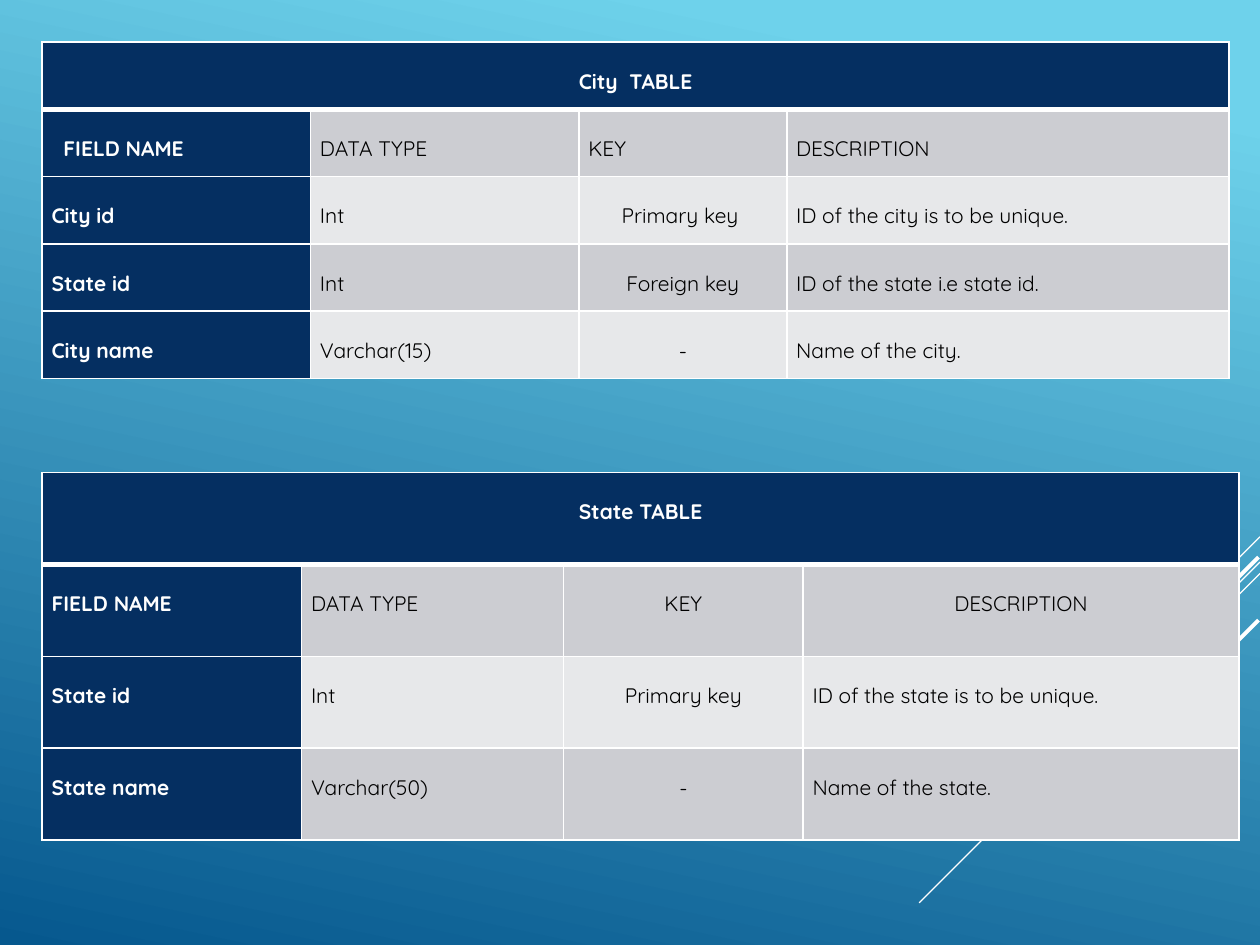
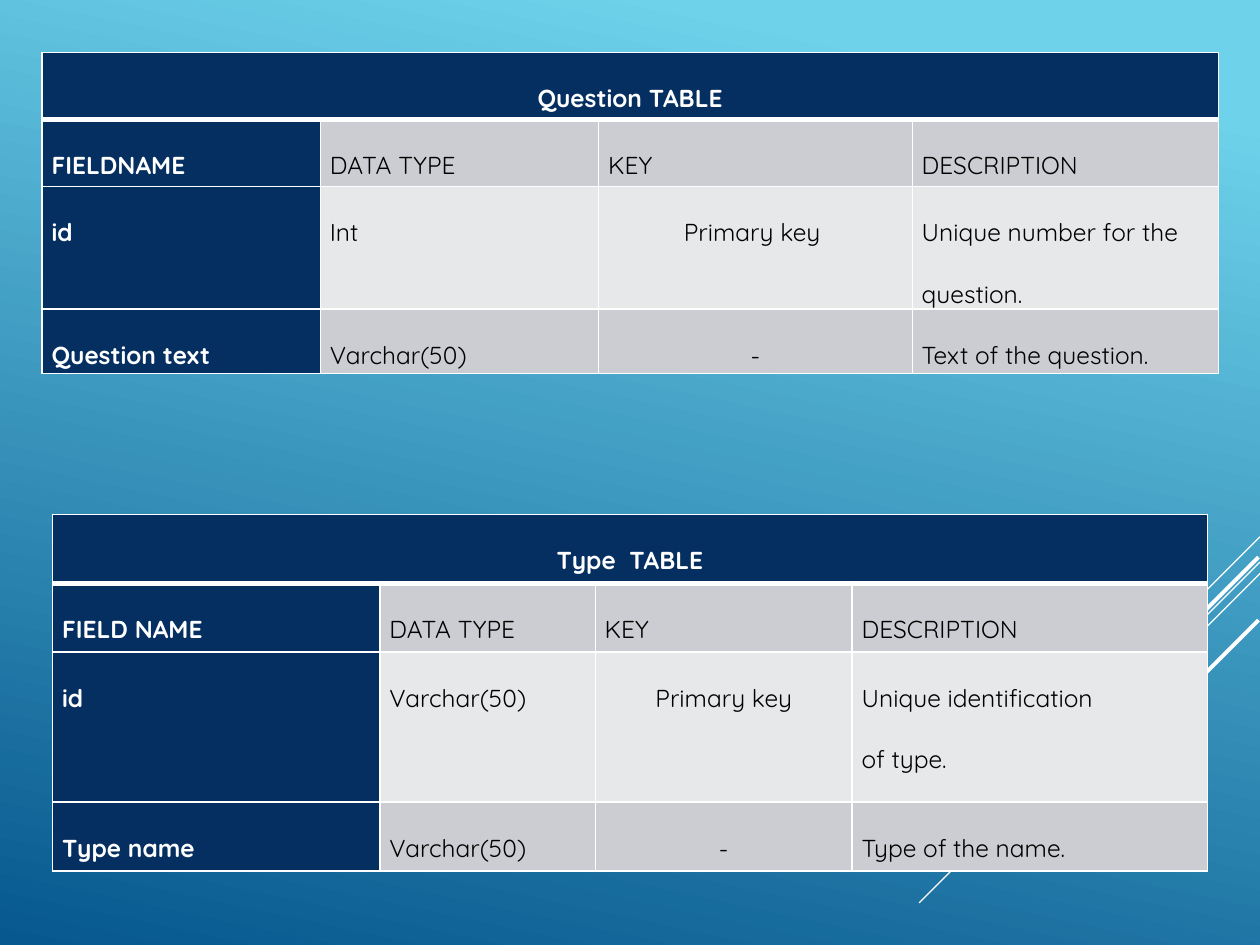
import pptx
import pptx.util
import pptx.dml.color
import pptx.enum.shapes
import pptx.enum.text
import pptx.oxml
import pptx.oxml.ns

Cm = pptx.util.Cm
Pt = pptx.util.Pt
CENTER = pptx.enum.text.PP_ALIGN.CENTER
LEFT = pptx.enum.text.PP_ALIGN.LEFT

# Shared look
FONT = "Quicksand"
COLORS = {
    "sky": "6ED2EB",
    "deep": "06588E",
    "navy": "052F61",
    "dark": "CCCDD2",
    "light": "E7E8EA",
    "white": "FFFFFF",
    "black": "000000",
}
PAD = 0.19
THIN, THICK = 1, 3
HEADS = ["FIELD NAME", "DATA TYPE", "KEY", "DESCRIPTION"]

# Diagonal rays: right end x, y, drop in cm, width in points
RAYS = [
    (25.4, 10.82, 2.11, 0.75),
    (25.4, 11.33, 6.87, 0.75),
    (25.4, 11.56, 4.37, 0.75),
    (25.37, 11.23, 3.99, 2.25),
    (25.37, 12.5, 2.9, 2.25),
]

# Each slide: text size and its tables
SLIDES = [
    (12, [
        dict(title="City  TABLE", box=(0.85, 0.85),
             cols=[5.41, 5.41, 4.19, 8.92], rows=[1.356] * 5, shift=0.24,
             body=[
                 ["City id", "Int", "Primary key ", "ID of the city is to be unique."],
                 ["State id", "Int", "Foreign key", "ID of the state i.e state id."],
                 ["City name", "Varchar(15)", "-", "Name of the city."],
             ]),
        dict(title="State TABLE", box=(0.85, 9.53),
             cols=[5.23, 5.28, 4.83, 8.79], rows=[1.85] * 4, middle=(2, 3),
             body=[
                 ["State id", "Int", "Primary key", "ID of the state is to be unique."],
                 ["State name", "Varchar(50)", "-", "Name of the state."],
             ]),
    ]),
    (14, [
        dict(title="Question TABLE", box=(0.85, 1.06),
             cols=[5.61, 5.61, 6.32, 6.17], rows=[1.35, 1.35, 1.95, 1.3],
             heads=["FIELDNAME"] + HEADS[1:],
             body=[
                 ["id", "Int", "Primary key ", "Unique number for the question."],
                 ["Question text", "Varchar(50)", "-", "Text of the question."],
             ]),
        dict(title="Type  TABLE", box=(1.06, 10.37),
             cols=[6.6, 4.34, 5.18, 7.16], rows=[1.39, 1.39, 3.02, 1.39],
             body=[
                 ["id", "Varchar(50)", "Primary key", "Unique identification\nof type."],
                 ["Type name", "Varchar(50)", "-", "Type of the name."],
             ]),
    ]),
]


def tint(name):
    return pptx.dml.color.RGBColor.from_string(COLORS[name])


def paint_back(slide):
    """Gradient and diagonal rays behind every slide."""
    fill = slide.background.fill
    fill.gradient()
    fill.gradient_angle = 360 - 102
    for stop, (name, place) in zip(fill.gradient_stops, [("sky", 0.1), ("deep", 1)]):
        stop.color.rgb = tint(name)
        stop.position = place
    for x, y, drop, width in RAYS:
        ray = slide.shapes.add_connector(
            pptx.enum.shapes.MSO_CONNECTOR.STRAIGHT,
            Cm(x), Cm(y), Cm(x - drop), Cm(y + drop))
        ray.line.color.rgb = tint("white")
        ray.line.width = Pt(width)
        pptx.oxml.ns.qn("a:effectLst")
        ray._element.spPr.append(pptx.oxml.parse_xml(
            "<a:effectLst %s/>" % pptx.oxml.ns.nsdecls("a")))


def frame_cell(cell, top, bottom):
    """White borders, with their own weight above and below."""
    props = cell._tc.get_or_add_tcPr()
    for side, width in [("L", THIN), ("R", THIN), ("T", top), ("B", bottom)]:
        props.append(pptx.oxml.parse_xml(
            '<a:ln%s %s w="%d"><a:solidFill><a:srgbClr val="%s"/></a:solidFill></a:ln%s>'
            % (side, pptx.oxml.ns.nsdecls("a"), Pt(width), COLORS["white"], side)))


def write_cell(cell, text, size, strong, align):
    cell.margin_left = cell.margin_right = Cm(PAD)
    cell.margin_top = cell.margin_bottom = 0
    frame = cell.text_frame
    for i, line in enumerate(text.split("\n")):
        para = frame.add_paragraph() if i else frame.paragraphs[0]
        para.alignment = align
        para.line_spacing = 2.0
        run = para.add_run()
        run.text = line
        run.font.name = FONT
        run.font.size = Pt(size)
        run.font.bold = strong
        run.font.color.rgb = tint("white" if strong else "black")


def add_grid(slide, size, title, box, cols, rows, body, heads=HEADS, middle=(), shift=0):
    """Field table: title band, heading row, then one row per field."""
    x, y = box
    table = slide.shapes.add_table(
        len(rows), len(cols), Cm(x), Cm(y), Cm(sum(cols)), Cm(sum(rows))).table
    table.first_row = table.horz_banding = False
    for col, width in zip(table.columns, cols):
        col.width = Cm(width)
    for row, height in zip(table.rows, rows):
        row.height = Cm(height)

    # Borders and fills
    for r in range(len(rows)):
        for c in range(len(cols)):
            cell = table.cell(r, c)
            frame_cell(cell, THICK if r == 1 else THIN, THICK if r == 0 else THIN)
            shade = "navy" if r == 0 or c == 0 else "dark" if r % 2 else "light"
            cell.fill.solid()
            cell.fill.fore_color.rgb = tint(shade)

    # Title band
    table.cell(0, 0).merge(table.cell(0, len(cols) - 1))
    write_cell(table.cell(0, 0), title, size, True, CENTER)

    # Headings and fields
    for r, texts in enumerate([heads] + body, 1):
        for c, text in enumerate(texts):
            mid = c in middle if r == 1 else c == 2
            write_cell(table.cell(r, c), text, size, c == 0, CENTER if mid else LEFT)
    table.cell(1, 0).margin_left = Cm(PAD + shift)


def main():
    deck = pptx.Presentation()
    deck.slide_width, deck.slide_height = Cm(25.4), Cm(19.05)
    for size, grids in SLIDES:
        slide = deck.slides.add_slide(deck.slide_layouts[6])
        paint_back(slide)
        for grid in grids:
            add_grid(slide, size, **grid)
    deck.save("out.pptx")


if __name__ == "__main__":
    main()
